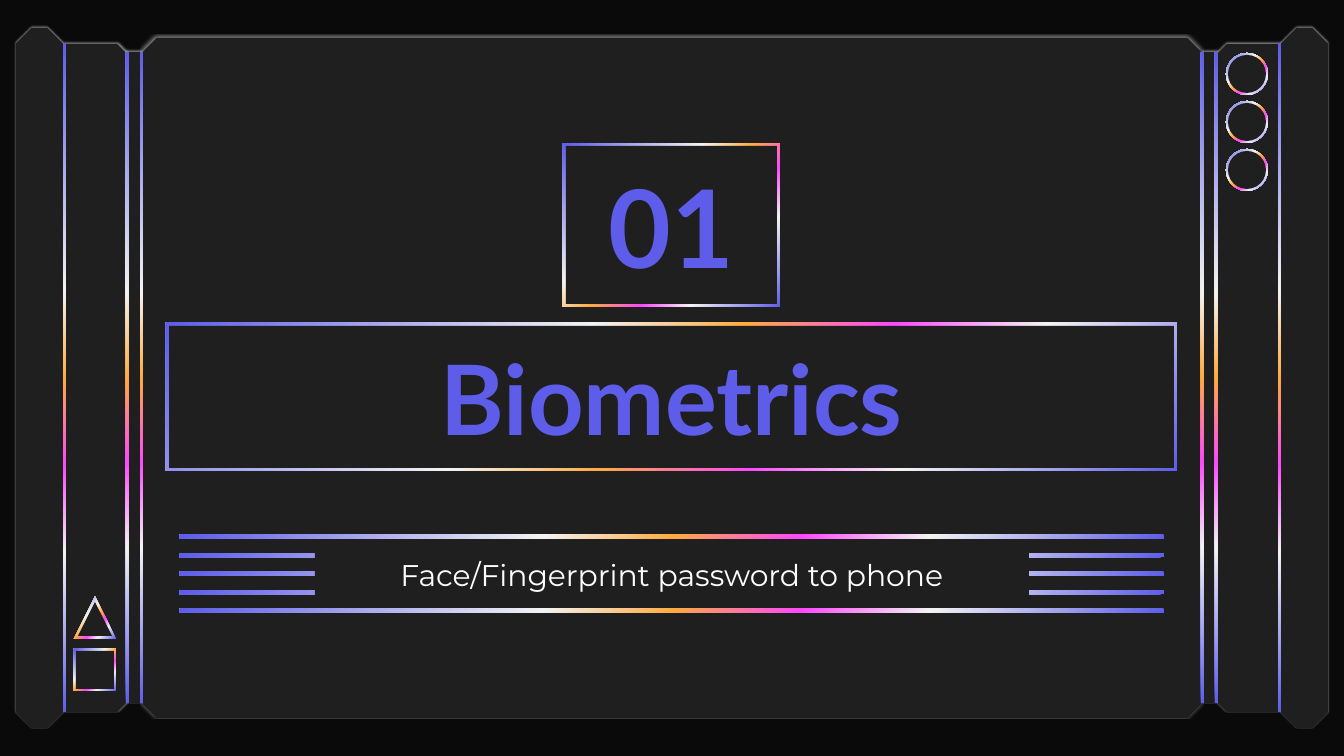
from lxml import etree
from pptx import Presentation
from pptx import util as u
from pptx.dml.color import RGBColor
from pptx.enum import shapes, text
from pptx.oxml.ns import qn

PX = 914400 / 134.4
WIDE, HIGH = 1344, 756
HUES = {"back": "0A0A0A", "panel": "1F1F1F", "blue": "5D5DE9", "pale": "F3F3F3",
        "pink": "FD49FD", "gold": "FFAB40", "white": "FFFFFF"}
STOPS = [(0, "blue"), (24, "pale"), (37, "pink"), (50, "gold"), (63, "pale"), (100, "blue")]
KIND = shapes.MSO_SHAPE


def emu(px):
    return u.Emu(round(px * PX))


def rgb(hue):
    return RGBColor.from_string(HUES[hue])


def node(up, tag, **vals):
    return etree.SubElement(up, qn(tag), {key: str(val) for key, val in vals.items()})


def glow(fill):
    fill.gradient()
    fill.gradient_angle = 135
    rows = fill._xPr.find(qn("a:gradFill")).find(qn("a:gsLst"))
    for row in list(rows):
        rows.remove(row)
    for pos, hue in STOPS:
        node(node(rows, "a:gs", pos=pos * 1000), "a:srgbClr", val=HUES[hue])


def shade(shape):
    effect = shape._element.spPr.find(qn("a:effectLst"))
    cast = node(effect, "a:outerShdw", blurRad=14000, dist=10000, dir=271 * 60000,
                algn="bl", rotWithShape=0)
    color = node(cast, "a:srgbClr", val=HUES["white"])
    node(color, "a:alpha", val=50000)


def draw(slide, box, kind=KIND.RECTANGLE, hue=None):
    shape = slide.shapes.add_shape(kind, *map(emu, box))
    shape.shadow.inherit = False
    shape.line.fill.background()
    if hue:
        shape.fill.solid()
        shape.fill.fore_color.rgb = rgb(hue)
    else:
        glow(shape.fill)
    return shape


def panel(slide, box, snips, turn=0):
    x, y, w, h = box
    if turn:
        x, y, w, h = x + (w - h) / 2, y + (h - w) / 2, h, w
    shape = draw(slide, (x, y, w, h), KIND.SNIP_2_SAME_RECTANGLE, "panel")
    shape.rotation = turn
    for index, snip in enumerate(snips):
        shape.adjustments[index] = snip
    shade(shape)


def mirror(box):
    x, y, w, h = box
    return WIDE - x - w, y, w, h


def frame(slide, box, kind=KIND.RECTANGLE, edge=2):
    x, y, w, h = box
    draw(slide, box, kind)
    return draw(slide, (x + edge, y + edge, w - 2 * edge, h - 2 * edge), kind, "panel")


def write(shape, words, face, size, hue, bold=False):
    body = shape.text_frame
    look = {"word_wrap": True, "vertical_anchor": text.MSO_ANCHOR.MIDDLE}
    look.update({f"margin_{side}": u.Inches(0.1) for side in ("left", "right", "top", "bottom")})
    for key, val in look.items():
        setattr(body, key, val)
    para = body.paragraphs[0]
    para.alignment = text.PP_ALIGN.CENTER
    run = para.add_run()
    run.text = words
    for key, val in {"name": face, "size": u.Pt(size), "bold": bold}.items():
        setattr(run.font, key, val)
    run.font.color.rgb = rgb(hue)


def case(slide):
    strip, column, cap = (126, 52, 16, 651), (63, 44, 63, 668), (16, 28, 47, 700)
    panel(slide, mirror(strip), (0, 0), 270)
    panel(slide, strip, (0, 0), 90)
    panel(slide, (143, 38, 1058, 680), (0.02, 0.02), 90)
    for side, turn in ((tuple, 90), (mirror, 270)):
        panel(slide, side(column), (0.14, 0), turn)
        panel(slide, side(cap), (0.33, 0.33))
        for x, y, h in ((126, 52, 651), (140, 52, 651), (63, 44, 668)):
            draw(slide, side((x, y, 3, h)))


def icons(slide):
    for row in range(3):
        frame(slide, (1226, 53 + 48 * row, 42, 42), KIND.OVAL)
    draw(slide, (74, 597, 42, 42), KIND.ISOSCELES_TRIANGLE)
    draw(slide, (78, 602, 34, 34), KIND.ISOSCELES_TRIANGLE, "panel")
    frame(slide, (74, 649, 42, 42))


def main():
    deck = Presentation()
    deck.slide_width, deck.slide_height = emu(WIDE), emu(HIGH)
    slide = deck.slides.add_slide(deck.slide_layouts[6])
    slide.background.fill.solid()
    slide.background.fill.fore_color.rgb = rgb("back")
    case(slide)
    icons(slide)
    number = frame(slide, (563, 143, 217, 164), edge=3)
    title = frame(slide, (166, 323, 1011, 148), edge=3)
    for row in range(5):
        draw(slide, (180, 535 + 18.5 * row, 984, 4))
    note = draw(slide, (315, 541, 714, 67), hue="panel")
    write(note, "Face/Fingerprint password to phone", "Montserrat", 16, "white")
    write(title, "Biometrics", "Lato", 52, "blue", True)
    write(number, "01", "Lato", 58, "blue", True)
    deck.save("out.pptx")


if __name__ == "__main__":
    main()
